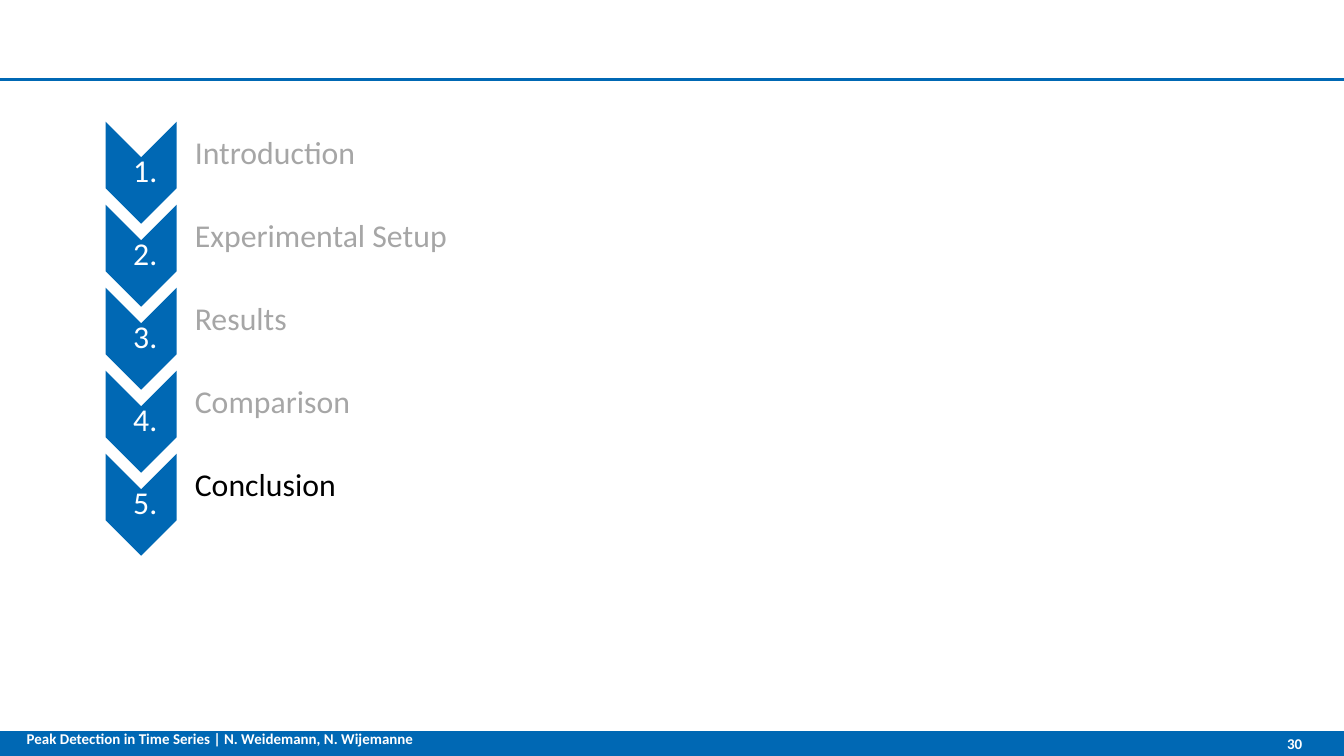
from lxml import etree
from pptx import Presentation
from pptx.dml.color import RGBColor
from pptx.enum import shapes, text
from pptx.oxml.ns import qn
from pptx.util import Inches, Pt

COLORS = {"blue": "0068B4", "white": "FFFFFF", "gray": "A6A6A6", "black": "000000"}
TOPICS = ["Introduction", "Experimental Setup", "Results", "Comparison", "Conclusion"]
CURRENT = "Conclusion"
STEP = 2.47 / (len(TOPICS) - 1)

deck = Presentation()
deck.slide_width = Inches(10)
deck.slide_height = deck.slide_width * 9 // 16
slide = deck.slides.add_slide(deck.slide_layouts[6])


def add_block(kind, left, top, width, height):
    block = slide.shapes.add_shape(kind, *map(Inches, (left, top, width, height)))
    block.shadow.inherit = False
    block.fill.solid()
    block.fill.fore_color.rgb = RGBColor.from_string(COLORS["blue"])
    block.line.fill.background()
    return block


def add_label(words, area, insets, size, color, align="LEFT", anchor="MIDDLE"):
    """Add one line of text; insets run left, top, right, bottom."""
    frame = slide.shapes.add_textbox(*map(Inches, area)).text_frame
    frame.word_wrap = True
    frame.vertical_anchor = text.MSO_ANCHOR[anchor]
    frame.margin_left, frame.margin_top, frame.margin_right, frame.margin_bottom = map(
        Inches, insets)
    line = frame.paragraphs[0]
    line.text = words
    line.alignment = text.PP_ALIGN[align]
    line.font.name = "Calibri"
    line.font.size = Pt(size)
    line.font.color.rgb = RGBColor.from_string(COLORS[color])
    return line


# Footer bar
add_block(shapes.MSO_SHAPE.RECTANGLE, 0, 5.44, 10, 0.19)

# Agenda
for i, topic in enumerate(TOPICS):
    drop = i * STEP
    arrow = add_block(shapes.MSO_SHAPE.CHEVRON, 0.67, 1.02 + drop, 0.76, 0.53)
    arrow.rotation = 90
    number = add_label(f" {i + 1}.", (0.79, 1.17 + drop, 0.53, 0.23),
                       (0.01,) * 4, 17, "white", "CENTER")
    name = add_label(topic, (1.32, 0.93 + drop, 7.87, 0.44),
                     (0.13, 0.01, 0.01, 0.01), 17,
                     "black" if topic == CURRENT else "gray")
    number.line_spacing = name.line_spacing = 0.9

# Header rule
rule = slide.shapes.add_connector(
    shapes.MSO_CONNECTOR.STRAIGHT, Inches(10), Inches(0.59), Inches(0), Inches(0.59))
rule.line.color.rgb = RGBColor.from_string(COLORS["blue"])
rule.line.width = Pt(1.5)
etree.SubElement(rule._element.spPr, qn("a:effectLst"))

# Footer text
credit = add_label("Peak Detection in Time Series | N. Weidemann, N. Wijemanne",
                   (0.1, 5.36, 4.34, 0.34), (0.1,) * 4, 8, "white", anchor="TOP")
page = add_label("30", (8.75, 5.44, 0.94, 0.19), (0.1, 0.05, 0, 0.05), 8, "white", "RIGHT")
credit.font.bold = page.font.bold = True

deck.save("out.pptx")
